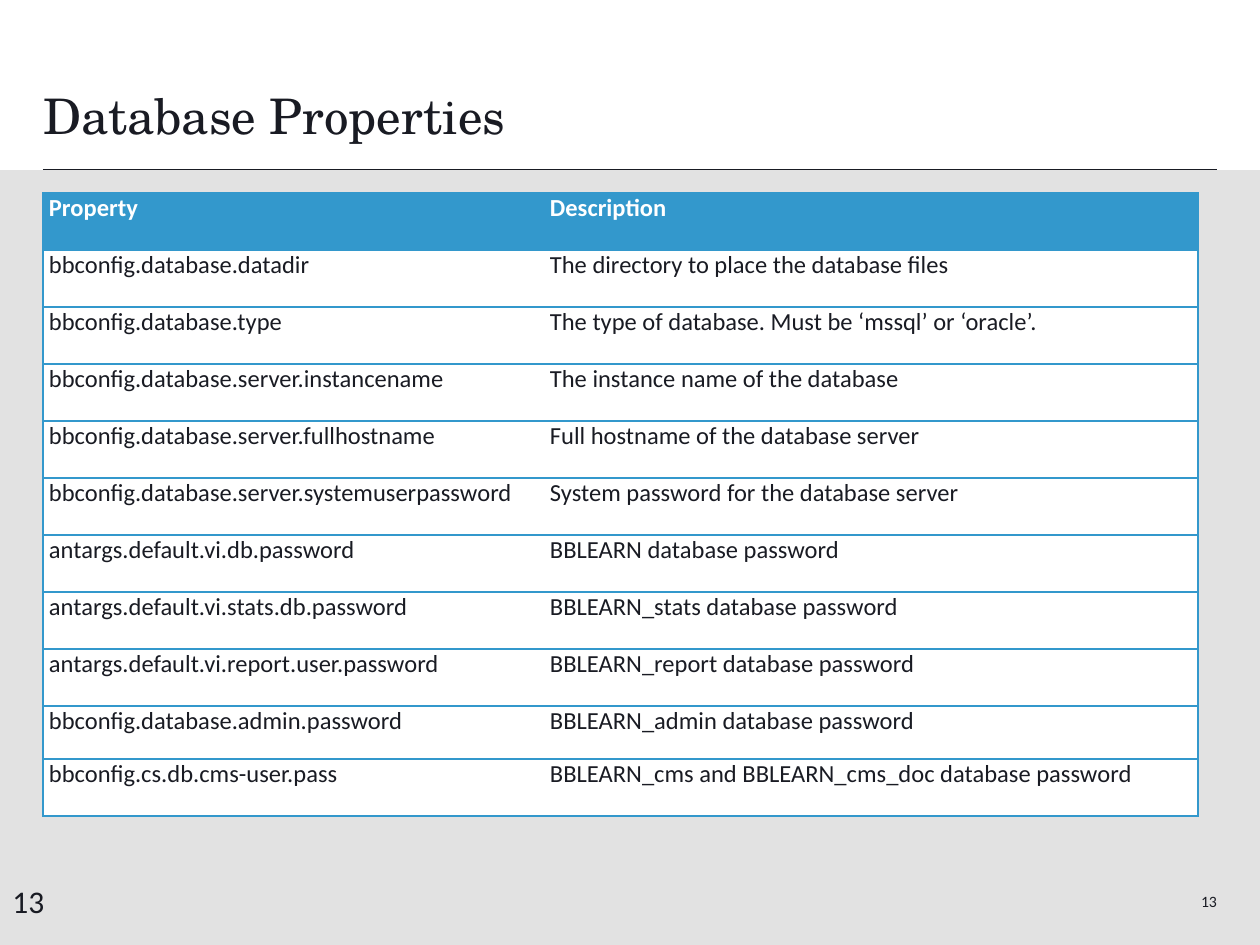
from lxml import etree
from pptx import Presentation
from pptx.dml.color import RGBColor
from pptx.enum.shapes import MSO_CONNECTOR, MSO_SHAPE
from pptx.enum.text import MSO_ANCHOR, PP_ALIGN
from pptx.oxml.ns import qn
from pptx.util import Emu, Pt

INK, BLUE, GREY, WHITE = "191B23", "3398CC", "E2E2E2", "FFFFFF"
BODY_FONT, TITLE_FONT = "Calibri", "TeX Gyre Schola"

PROPERTIES = [
    ("Property", "Description"),
    ("bbconfig.database.datadir", "The directory to place the database files"),
    ("bbconfig.database.type", "The type of database. Must be ‘mssql’ or ‘oracle’."),
    ("bbconfig.database.server.instancename", "The instance name of the database"),
    ("bbconfig.database.server.fullhostname", "Full hostname of the database server"),
    ("bbconfig.database.server.systemuserpassword", "System password for the database server"),
    ("antargs.default.vi.db.password", "BBLEARN database password"),
    ("antargs.default.vi.stats.db.password", "BBLEARN_stats database password"),
    ("antargs.default.vi.report.user.password", "BBLEARN_report database password"),
    ("bbconfig.database.admin.password", "BBLEARN_admin database password"),
    ("bbconfig.cs.db.cms-user.pass", "BBLEARN_cms and BBLEARN_cms_doc database password"),
]
COLUMN_WIDTHS = [501, 654]
ROW_HEIGHTS = [57] * 9 + [53, 57]


def px(n):
    return Emu(round(n * 914400 / 126))


def rgb(color):
    return RGBColor.from_string(color)


def add_run(p, text, size, color=INK, font=BODY_FONT, bold=False):
    r = p.add_run()
    r.text = text
    r.font.size = Pt(size)
    r.font.name = font
    r.font.bold = bold
    r.font.color.rgb = rgb(color)


def set_margins(tf, left, top, right, bottom):
    tf.margin_left, tf.margin_top = px(left), px(top)
    tf.margin_right, tf.margin_bottom = px(right), px(bottom)


def add_rule(slide, x1, x2, y):
    line = slide.shapes.add_connector(MSO_CONNECTOR.STRAIGHT, px(x1), px(y), px(x2), px(y))
    line.line.color.rgb = rgb(INK)
    line.line.width = Pt(0.75)
    etree.SubElement(line._element.spPr, qn("a:effectLst"))


def add_panel(slide, x, y, w, h, color):
    sp = slide.shapes.add_shape(MSO_SHAPE.RECTANGLE, px(x), px(y), px(w), px(h))
    sp.shadow.inherit = False
    sp.fill.solid()
    sp.fill.fore_color.rgb = rgb(color)
    sp.line.fill.background()


def add_text(slide, x, y, w, h, text, size):
    tf = slide.shapes.add_textbox(px(x), px(y), px(w), px(h)).text_frame
    tf.word_wrap = True
    add_run(tf.paragraphs[0], text, size)
    return tf


def set_title(slide, x, y, w, h, text):
    sp = slide.shapes.title
    sp.left, sp.top, sp.width, sp.height = px(x), px(y), px(w), px(h)
    tf = sp.text_frame
    set_margins(tf, 0, 0, 0, 0)
    tf.vertical_anchor = MSO_ANCHOR.BOTTOM
    p = tf.paragraphs[0]
    p.alignment = PP_ALIGN.LEFT
    p.line_spacing = 0.9
    add_run(p, text, 28, font=TITLE_FONT)


def set_borders(cell, hidden):
    """Draw every side of the cell in blue except the hidden one."""
    tcPr = cell._tc.get_or_add_tcPr()
    for side in ("lnL", "lnR", "lnT", "lnB"):
        ln = etree.SubElement(tcPr, qn(f"a:{side}"), w=str(Pt(1)))
        if side == hidden:
            etree.SubElement(ln, qn("a:noFill"))
        else:
            fill = etree.SubElement(ln, qn("a:solidFill"))
            etree.SubElement(fill, qn("a:srgbClr"), val=BLUE)


def fill_cell(cell, text, is_header, hidden_border):
    set_borders(cell, hidden_border)
    cell.fill.solid()
    cell.fill.fore_color.rgb = rgb(BLUE if is_header else WHITE)
    set_margins(cell, 6, 0, 6, 0)
    add_run(cell.text_frame.paragraphs[0], text, 14, WHITE if is_header else INK, bold=is_header)


def add_property_table(slide, x, y):
    frame = slide.shapes.add_table(len(PROPERTIES), len(COLUMN_WIDTHS), px(x), px(y),
                                   px(sum(COLUMN_WIDTHS)), px(sum(ROW_HEIGHTS)))
    table = frame.table
    table.horz_banding = False
    for column, width in zip(table.columns, COLUMN_WIDTHS):
        column.width = px(width)
    for i, (row, height, texts) in enumerate(zip(table.rows, ROW_HEIGHTS, PROPERTIES)):
        row.height = px(height)
        for cell, text, hidden in zip(row.cells, texts, ("lnR", "lnL")):
            fill_cell(cell, text, i == 0, hidden)


def main():
    prs = Presentation()
    prs.slide_width, prs.slide_height = px(1260), px(945)
    slide = prs.slides.add_slide(prs.slide_layouts[5])
    slide.background.fill.solid()
    slide.background.fill.fore_color.rgb = rgb(WHITE)

    add_rule(slide, 43, 1217, 170)
    add_panel(slide, 0, 170, 1260, 775, GREY)
    set_title(slide, 43, 39, 1174, 106, "Database Properties")
    add_property_table(slide, 43, 193)

    add_text(slide, 0, 876, 91, 50, "13", 18)
    tf = add_text(slide, 1091, 876, 126, 50, "13", 9)
    set_margins(tf, 0, 0, 0, 0)
    tf.vertical_anchor = MSO_ANCHOR.MIDDLE
    tf.paragraphs[0].alignment = PP_ALIGN.RIGHT

    prs.save("out.pptx")


if __name__ == "__main__":
    main()
